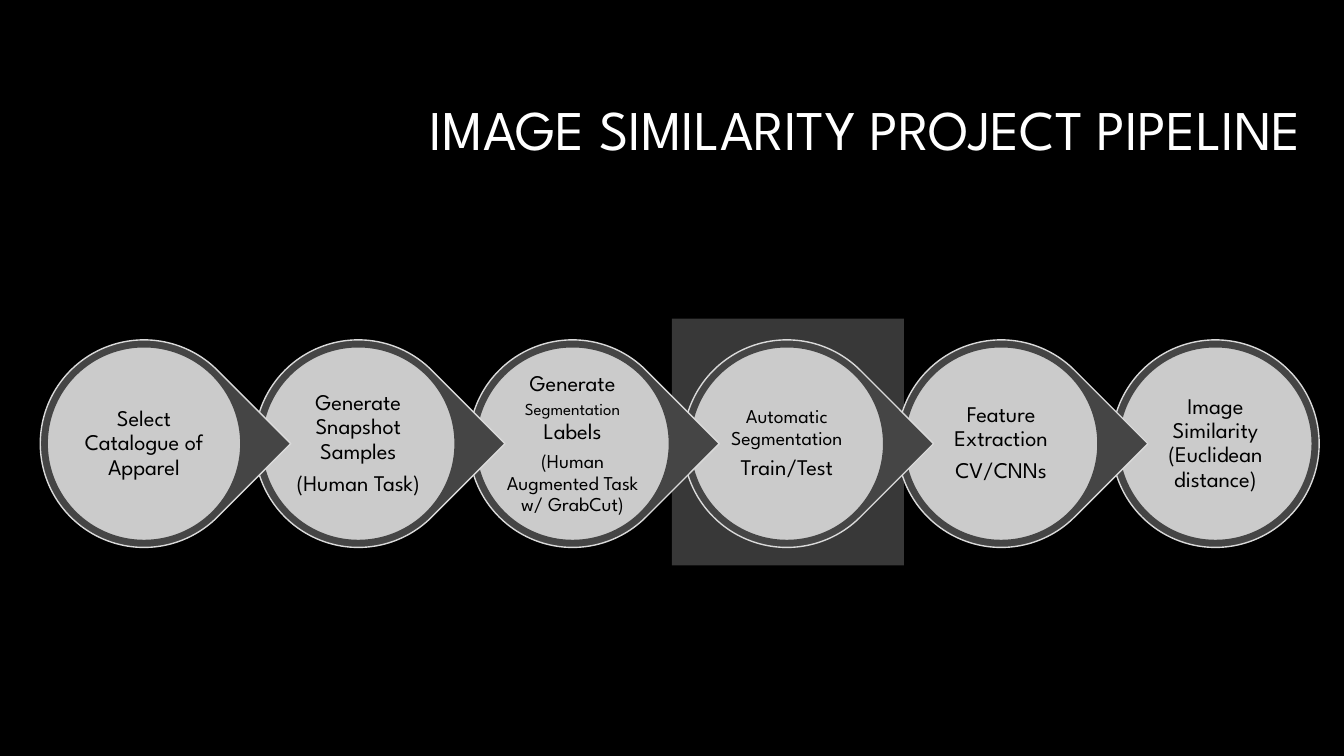
from lxml.etree import SubElement
from pptx import Presentation
from pptx.dml.color import RGBColor
from pptx.enum.shapes import MSO_SHAPE as Shape
from pptx.enum.text import MSO_ANCHOR as Anchor, PP_ALIGN as Align
from pptx.oxml.ns import qn
from pptx.util import Cm, Pt

COLOURS = {
    "background": "000000",
    "title": "FFFFFF",
    "highlight": "6D6D6D",
    "ring": "454545",
    "disc": "DADADA",
    "label": "000000",
}
FONT = "League Spartan"

# Each step is a list of paragraphs; each paragraph is a list of (text, size) runs.
STEPS = [
    [[("Select Catalogue of Apparel", 16)]],
    [[("Generate Snapshot Samples", 16)], [("(Human Task)", 16)]],
    [
        [("Generate ", 16), ("Segmentation", 12), (" Labels", 16)],
        [("(Human Augmented Task w/ GrabCut)", 14)],
    ],
    [[("Automatic Segmentation", 14)], [("Train/Test", 16)]],
    [[("Feature Extraction", 16)], [("CV/CNNs", 16)]],
    [[("Image Similarity (Euclidean distance)", 16)]],
]
FIRST_CENTRE, MIDDLE, PITCH = 3.63, 11.18, 5.4
RING_SIZE, DISC_SIZE, LABEL_SIZE = 5.23, 4.88, 3.48


def colour(name):
    return RGBColor.from_string(COLOURS[name])


def add_run(para, text, *, size, color):
    span = para.add_run()
    span.text = text
    span.font.name = FONT
    span.font.size = Pt(size)
    span.font.color.rgb = colour(color)


def square(centre, size):
    """Return left, top, width and height of a square on the pipeline's axis."""
    return Cm(centre - size / 2), Cm(MIDDLE - size / 2), Cm(size), Cm(size)


class PipelineSlide:
    def __init__(self, deck):
        self.page = deck.slides.add_slide(deck.slide_layouts[5])
        background = self.page.background.fill
        background.solid()
        background.fore_color.rgb = colour("background")

    def title(self, text):
        box = self.page.shapes.title
        box.left, box.top, box.width, box.height = Cm(8), Cm(1.55), Cm(25.05), Cm(3.58)
        box.text_frame.vertical_anchor = Anchor.MIDDLE
        para = box.text_frame.paragraphs[0]
        para.alignment = Align.RIGHT
        para.line_spacing = 0.9
        add_run(para, text, size=40, color="title")

    def shape(self, shapes, kind, bounds, *, fill, line=None, opacity=100):
        shape = shapes.add_shape(kind, *bounds)
        shape.shadow.inherit = False
        shape.fill.solid()
        shape.fill.fore_color.rgb = colour(fill)
        if opacity < 100:
            value = shape.fill._xPr.find(qn("a:solidFill"))[0]
            SubElement(value, qn("a:alpha"), val=str(opacity * 1000))
        if line:
            shape.line.color.rgb = colour(line)
            shape.line.width = Pt(1)
        else:
            shape.line.fill.background()
        return shape

    def label(self, shapes, bounds, paragraphs):
        frame = shapes.add_textbox(*bounds).text_frame
        frame.word_wrap = True
        frame.vertical_anchor = Anchor.MIDDLE
        frame.margin_left = frame.margin_right = Cm(0.05)
        frame.margin_top = frame.margin_bottom = Cm(0.05)
        for index, runs in enumerate(paragraphs):
            para = frame.add_paragraph() if index else frame.paragraphs[0]
            para.alignment = Align.CENTER
            para.line_spacing = 0.9
            para.space_after = Pt(round(0.35 * runs[0][1], 1))
            for text, size in runs:
                add_run(para, text, size=size, color="label")

    def pipeline(self, steps):
        """Draw from last step to first, so each tip overlaps the next ring."""
        shapes = self.page.shapes.add_group_shape().shapes
        last = len(steps) - 1
        for index in range(last, -1, -1):
            centre = FIRST_CENTRE + index * PITCH
            kind = Shape.OVAL if index == last else Shape.TEAR
            ring = self.shape(shapes, kind, square(centre, RING_SIZE),
                              fill="ring", line="disc")
            if kind == Shape.TEAR:
                ring.adjustments[0] = 1
                ring.rotation = 45
            self.shape(shapes, Shape.OVAL, square(centre, DISC_SIZE),
                       fill="disc", line="ring", opacity=90)
            self.label(shapes, square(centre, LABEL_SIZE), steps[index])


def main():
    deck = Presentation()
    deck.slide_width, deck.slide_height = Cm(33.87), Cm(19.05)
    slide = PipelineSlide(deck)
    slide.shape(slide.page.shapes, Shape.RECTANGLE,
                (Cm(16.93), Cm(8.03), Cm(5.85), Cm(6.22)),
                fill="highlight", opacity=52)
    slide.title("IMAGE SIMILARITY PROJECT PIPELINE")
    slide.pipeline(STEPS)
    deck.save("out.pptx")


if __name__ == "__main__":
    main()
